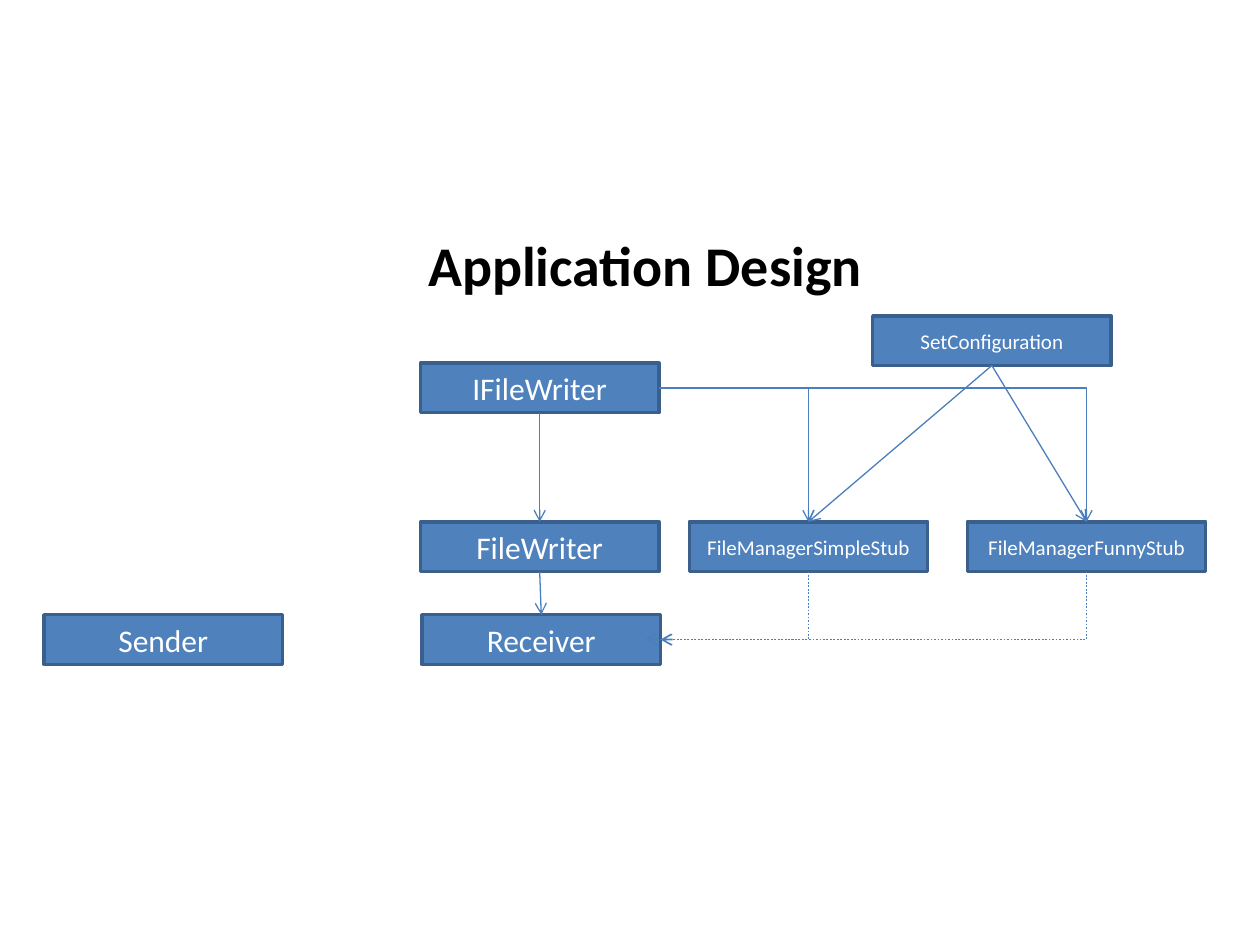
from dataclasses import dataclass

from lxml import etree
from pptx import Presentation
from pptx.dml.color import RGBColor
from pptx.enum import dml, shapes, text
from pptx.oxml import ns
from pptx.util import Pt


@dataclass(frozen=True)
class Theme:
    """Colours, type sizes and line widths of the slide."""
    font: str = "Calibri"
    black: RGBColor = RGBColor(0, 0, 0)
    white: RGBColor = RGBColor(255, 255, 255)
    fill: RGBColor = RGBColor(0x4F, 0x81, 0xBD)
    border: RGBColor = RGBColor(0x3A, 0x5F, 0x8C)
    arrow: RGBColor = RGBColor(0x4B, 0x7E, 0xBC)
    title: int = 32
    large: int = 18
    small: int = 12
    border_width: float = 2
    solid_width: float = 0.75
    dotted_width: float = 1


BOX_WIDTH, BOX_HEIGHT = 136.2, 28.4
TOP, LEFT, BOTTOM, RIGHT = range(4)


class Diagram:
    """Draws boxes and arrows on one slide in one style."""

    def __init__(self, slide, theme):
        """Keep the slide and its theme."""
        self.slide = slide
        self.theme = theme

    def label(self, frame, words, size, color, bold=False):
        """Put one centred run into a text frame."""
        para = frame.paragraphs[0]
        para.alignment = text.PP_ALIGN.CENTER
        span = para.add_run()
        span.text = words
        font = span.font
        font.name, font.size, font.bold = self.theme.font, Pt(size), bold
        font.color.rgb = color

    def title(self, words, left, top, width, height):
        """Place and fill the title placeholder."""
        box = self.slide.shapes.title
        box.left, box.top, box.width, box.height = map(Pt, (left, top, width, height))
        frame = box.text_frame
        frame.word_wrap = True
        frame.auto_size = text.MSO_AUTO_SIZE.NONE
        frame.vertical_anchor = text.MSO_ANCHOR.TOP
        self.label(frame, words, self.theme.title, self.theme.black, bold=True)

    def box(self, words, left, top, size):
        """Add a labelled box of the standard size."""
        box = self.slide.shapes.add_shape(
            shapes.MSO_SHAPE.RECTANGLE, Pt(left), Pt(top), Pt(BOX_WIDTH), Pt(BOX_HEIGHT))
        box.shadow.inherit = False
        box.fill.solid()
        box.fill.fore_color.rgb = self.theme.fill
        box.line.color.rgb = self.theme.border
        box.line.width = Pt(self.theme.border_width)
        box.text_frame.word_wrap = True
        box.text_frame.vertical_anchor = text.MSO_ANCHOR.MIDDLE
        self.label(box.text_frame, words, size, self.theme.white)
        return box

    def arrow(self, source, source_side, target, target_side, bent=False):
        """Add an arrow glued to the sides of two boxes."""
        kind = shapes.MSO_CONNECTOR.ELBOW if bent else shapes.MSO_CONNECTOR.STRAIGHT
        line = self.slide.shapes.add_connector(kind, 0, 0, 0, 0)
        line.begin_connect(source, source_side)
        line.end_connect(target, target_side)
        if bent:
            geometry = line._element.spPr.find(ns.qn("a:prstGeom"))
            geometry.set("prst", "bentConnector2")
        self.style(line, self.theme.solid_width)
        return line

    def dotted_arrow(self, source, target, overlap=0):
        """Add a dotted arrow down from a box, then left into the target."""
        line = self.arrow(source, BOTTOM, target, RIGHT, bent=True)
        begin_x, begin_y = line.begin_x, line.begin_y
        end_x, end_y = line.end_x - Pt(overlap), line.end_y
        across, down = begin_x - end_x, end_y - begin_y
        # A quarter turn swaps the sides of the frame around its centre.
        line.left = (begin_x + end_x - down) // 2
        line.top = (begin_y + end_y - across) // 2
        line.width, line.height = down, across
        frame = line._element.spPr.find(ns.qn("a:xfrm"))
        frame.attrib.pop("flipH", None)
        frame.set("rot", str(90 * 60000))
        if overlap:
            end = line._element.find(".//" + ns.qn("a:endCxn"))
            end.getparent().remove(end)
        line.line.width = Pt(self.theme.dotted_width)
        line.line.dash_style = dml.MSO_LINE.ROUND_DOT

    def style(self, line, width):
        """Colour a connector, give it an open head and no shadow."""
        line.line.color.rgb = self.theme.arrow
        line.line.width = Pt(width)
        properties = line._element.spPr
        etree.SubElement(properties.find(ns.qn("a:ln")), ns.qn("a:tailEnd"), type="arrow")
        etree.SubElement(properties, ns.qn("a:effectLst"))


def main():
    """Build and save the slide."""
    deck = Presentation()
    deck.slide_width, deck.slide_height = Pt(720), Pt(540)
    theme = Theme()
    page = Diagram(deck.slides.add_slide(deck.slide_layouts[5]), theme)

    page.title("Application Design", 139, 128, 459.5, 46)

    class_top, message_top = 298.2, 351.3
    receiver = page.box("Receiver", 241.2, message_top, theme.large)
    page.box("Sender", 25.2, message_top, theme.large)
    interface = page.box("IFileWriter", 240.3, 207.5, theme.large)
    writer = page.box("FileWriter", 240.3, class_top, theme.large)
    stubs = [page.box(name, left, class_top, theme.small)
             for name, left in (("FileManagerSimpleStub", 393.9),
                                ("FileManagerFunnyStub", 552.8))]
    settings = page.box("SetConfiguration", 498.7, 180.5, theme.small)

    page.arrow(interface, BOTTOM, writer, TOP)
    page.arrow(writer, BOTTOM, receiver, TOP)
    for stub, overlap in zip(stubs, (0, 8.8)):
        page.arrow(interface, RIGHT, stub, TOP, bent=True)
        page.dotted_arrow(stub, receiver, overlap)
        page.arrow(settings, BOTTOM, stub, TOP)

    deck.save("out.pptx")


main()
